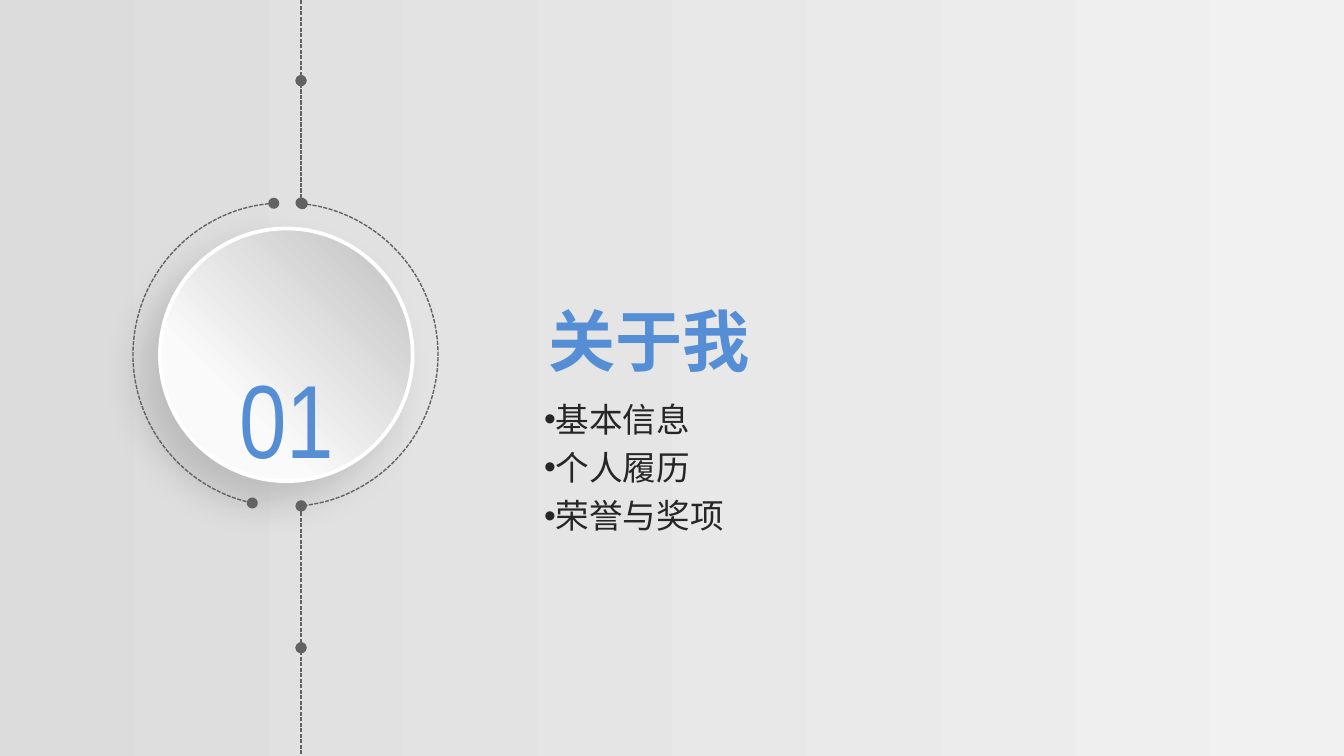
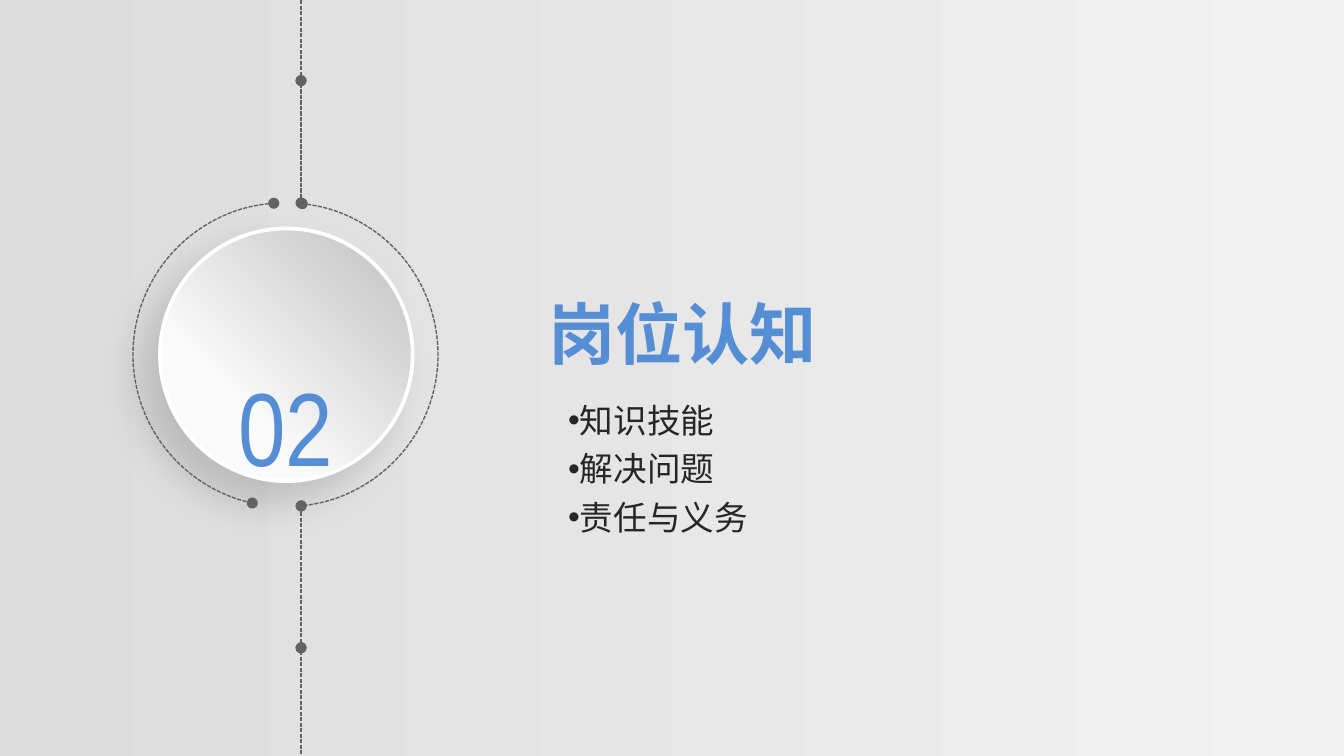
import pptx
import pptx.util
import pptx.dml.color
import pptx.enum.dml
import pptx.enum.shapes
import pptx.enum.text
import pptx.oxml
import pptx.oxml.ns

RGB = pptx.dml.color.RGBColor
SHAPE = pptx.enum.shapes.MSO_SHAPE
ALIGN = pptx.enum.text.PP_ALIGN
Pt = pptx.util.Pt

PX = 4572  # EMU per px, 200 px to the inch
WIDTH, HEIGHT = 2000, 1125

BLUE = RGB(0x55, 0x8E, 0xD5)
INK = RGB(0x26, 0x26, 0x26)
GREY = RGB(0x62, 0x62, 0x62)
WHITE = RGB(0xFF, 0xFF, 0xFF)
BACK_DARK, BACK_LIGHT = RGB(0xDC, 0xDC, 0xDC), RGB(0xF1, 0xF1, 0xF1)
DISC_DARK, DISC_LIGHT = RGB(0xBF, 0xBF, 0xBF), RGB(0xFA, 0xFA, 0xFA)

CJK = "Noto Sans CJK SC"
TITLE_FONT = {"size": Pt(36), "bold": True, "name": CJK}
LIST_FONT = {"size": Pt(18), "name": CJK}
NUMBER_FONT = {"size": Pt(96), "name": "Arial Narrow"}
FRAME = {
    "word_wrap": False,
    "auto_size": pptx.enum.text.MSO_AUTO_SIZE.SHAPE_TO_FIT_TEXT,
    "vertical_anchor": pptx.enum.text.MSO_ANCHOR.MIDDLE,
}

# Boxes are (left, top, width, height) in px
DIAL_BOX = (198, 302, 452, 452)
SECTIONS = [
    {"number": "01", "number_box": (324, 378, 206, 300),
     "title": "关于我", "title_box": (796, 416, 344, 154),
     "items": ["基本信息", "个人履历", "荣誉与奖项"],
     "list_box": (790, 570, 332, 238)},
    {"number": "02", "number_box": (312, 390, 226, 300),
     "title": "岗位认知", "title_box": (796, 406, 444, 154),
     "items": ["知识技能", "解决问题", "责任与义务"],
     "list_box": (826, 572, 332, 238)},
]


def emu(*lengths):
    return [pptx.util.Emu(n * PX) for n in lengths]


def add_xml(parent, tag, inner="", **attrs):
    """Append one DrawingML element to parent."""
    values = " ".join(f'{key}="{value}"' for key, value in attrs.items())
    ns = pptx.oxml.ns.nsdecls("a")
    parent.append(pptx.oxml.parse_xml(f"<a:{tag} {ns} {values}>{inner}</a:{tag}>"))


def set_gradient(fill, stops, angle):
    fill.gradient()
    fill.gradient_angle = angle
    for stop, (position, color) in zip(fill.gradient_stops, stops):
        stop.position = position
        stop.color.rgb = color


def write(sp, lines, font, color, spacing, align=ALIGN.LEFT, bullet=None):
    """Fill a text box or placeholder, one paragraph a line."""
    tf = sp.text_frame
    for key, value in FRAME.items():
        setattr(tf, key, value)
    for i, line in enumerate(lines):
        p = tf.paragraphs[0] if i == 0 else tf.add_paragraph()
        if bullet:
            pPr = p._p.get_or_add_pPr()
            pPr.set("marL", "0")
            pPr.set("indent", str(-40 * PX))
            add_xml(pPr, "buFont", typeface="Arial")
            add_xml(pPr, "buChar", char=bullet)
        p.alignment = align
        p.line_spacing = spacing
        r = p.add_run()
        r.text = line
        for key, value in font.items():
            setattr(r.font, key, value)
        r.font.color.rgb = color
        add_xml(r._r.get_or_add_rPr(), "ea", typeface=font["name"])


def dotted_line(sp):
    """Dashed grey line with a dot at each end."""
    sp.line.color.rgb = GREY
    sp.line.width = Pt(0.75)
    sp.line.dash_style = pptx.enum.dml.MSO_LINE.SQUARE_DOT
    ln = sp.line._get_or_add_ln()
    add_xml(ln, "headEnd", type="oval")
    add_xml(ln, "tailEnd", type="oval")


def add_disc(s, box):
    x, y, w, h = box
    inset = 38
    disc = s.shapes.add_shape(
        SHAPE.OVAL, *emu(x + inset + 2, y + inset, w - 2 * inset, h - 2 * inset))
    set_gradient(disc.fill, [(0, DISC_DARK), (0.7, DISC_LIGHT)], 225)
    disc.line.color.rgb = WHITE
    disc.line.width = Pt(2)
    # Soft shadow down to the left
    disc.shadow.inherit = False
    effects = disc._element.spPr.find(pptx.oxml.ns.qn("a:effectLst"))
    add_xml(effects, "outerShdw",
            '<a:srgbClr val="000000"><a:alpha val="15000"/></a:srgbClr>',
            blurRad=Pt(20), dist=Pt(15), dir=135 * 60000, algn="tr", rotWithShape=0)


def add_track(s, box):
    """Two arcs around the disc and the vertical line through them."""
    x, y, w, h = box
    group = s.shapes.add_group_shape()
    # Arcs: left offset, start and end in degrees, mirrored or not
    for dx, start, end, mirrored in [(0, 274.18, 77.62, True), (2, 276.1, 84.28, False)]:
        arc = group.shapes.add_shape(SHAPE.ARC, *emu(x + dx, y, w, h))
        arc.adjustments[0], arc.adjustments[1] = start * 0.6, end * 0.6
        arc.fill.background()
        arc.shadow.inherit = False
        dotted_line(arc)
        if mirrored:
            arc._element.spPr.xfrm.set("flipH", "1")
    # Vertical segments, two below and two above the dial
    line_x, near, far, low = x + 250, 182, 211, y + h - 1
    for start, end in [(low + far, low), (low + far + near, low + far),
                       (y - near, y - near - far), (y, y - near)]:
        line = group.shapes.add_connector(
            pptx.enum.shapes.MSO_CONNECTOR.STRAIGHT, *emu(line_x, start, line_x, end))
        dotted_line(line)
        add_xml(line._element.spPr, "effectLst")


def add_section(prs, section):
    s = prs.slides.add_slide(prs.slide_layouts[5])
    set_gradient(s.background.fill, [(0, BACK_DARK), (1, BACK_LIGHT)], 0)
    # Topic list
    topics = s.shapes.add_textbox(*emu(*section["list_box"]))
    write(topics, section["items"], LIST_FONT, INK, 1.2, bullet="•")
    # Numbered dial
    add_disc(s, DIAL_BOX)
    number = s.shapes.add_textbox(*emu(*section["number_box"]))
    write(number, [section["number"]], NUMBER_FONT, BLUE, 1.5, ALIGN.CENTER)
    number.text_frame.paragraphs[0].runs[0].font._element.set("baseline", "12000")
    # Title
    title = s.shapes.title
    title.left, title.top, title.width, title.height = emu(*section["title_box"])
    write(title, [section["title"]], TITLE_FONT, BLUE, 1.2)
    add_track(s, DIAL_BOX)


def main():
    prs = pptx.Presentation()
    prs.slide_width, prs.slide_height = emu(WIDTH, HEIGHT)
    for section in SECTIONS:
        add_section(prs, section)
    prs.save("out.pptx")


if __name__ == "__main__":
    main()
